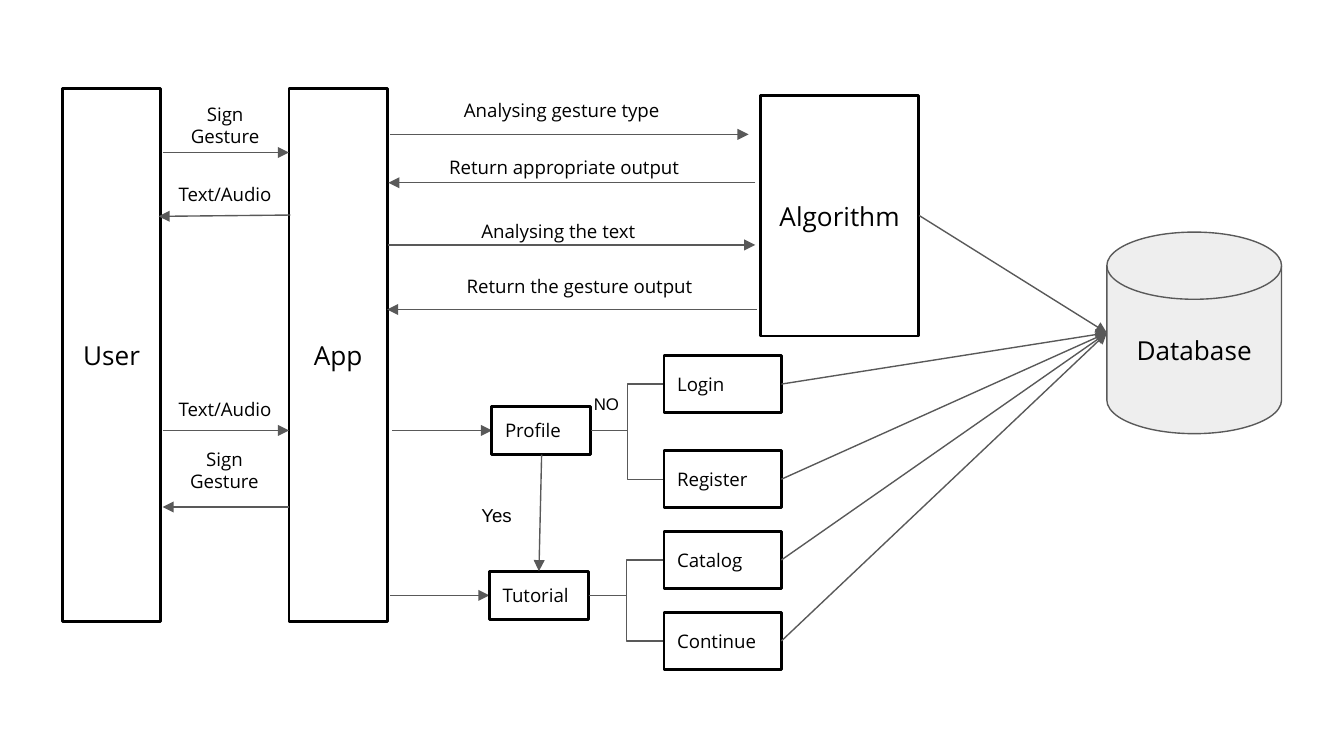
from lxml import etree
from pptx import Presentation
from pptx.dml.color import RGBColor
from pptx.enum.shapes import MSO_CONNECTOR, MSO_SHAPE
from pptx.enum.text import MSO_ANCHOR, PP_ALIGN
from pptx.oxml.ns import qn
from pptx.util import Inches, Pt

RECT, DISK = MSO_SHAPE.RECTANGLE, MSO_SHAPE.FLOWCHART_MAGNETIC_DISK
STRAIGHT, ELBOW = MSO_CONNECTOR.STRAIGHT, MSO_CONNECTOR.ELBOW
LEFT, CENTER = PP_ALIGN.LEFT, PP_ALIGN.CENTER
TOP, MIDDLE = MSO_ANCHOR.TOP, MSO_ANCHOR.MIDDLE

WIDE = Inches(10)
HIGH = WIDE * 9 // 16
CELL = WIDE / 100  # square grid, 100 columns wide
BLACK, GREY, PALE = "000000", "595959", "EEEEEE"
SANS, ARIAL = "Open Sans", "Arial"


def grid(*cells):
    return [round(n * CELL) for n in cells]


def color(code):
    return RGBColor.from_string(code)


def write(shape, text, size, align, anchor, font=SANS):
    frame = shape.text_frame
    frame.word_wrap = True
    frame.vertical_anchor = anchor
    frame.margin_left = frame.margin_right = Inches(0.1)
    frame.margin_top = frame.margin_bottom = Inches(0.1)
    para = frame.paragraphs[0]
    para.text = text
    para.alignment = align
    para.font.name = font
    para.font.size = Pt(size)
    para.font.color.rgb = color(BLACK)


def box(slide, text, area, size=10, align=LEFT, kind=RECT,
        fill=None, edge=BLACK, weight=1.5):
    shape = slide.shapes.add_shape(kind, *grid(*area))
    shape.shadow.inherit = False
    if fill:
        shape.fill.solid()
        shape.fill.fore_color.rgb = color(fill)
    else:
        shape.fill.background()
    shape.line.color.rgb = color(edge)
    shape.line.width = Pt(weight)
    write(shape, text, size, align, MIDDLE)


def label(slide, text, area, align=LEFT, size=10, font=SANS):
    shape = slide.shapes.add_textbox(*grid(*area))
    write(shape, text, size, align, TOP, font)


def link(slide, start, end, kind=STRAIGHT):
    """Join two grid points; straight links end in an arrowhead."""
    line = slide.shapes.add_connector(kind, *grid(*start, *end))
    line.line.color.rgb = color(GREY)
    line.line.width = Pt(0.75)
    props = line._element.spPr
    if kind == STRAIGHT:
        etree.SubElement(props.find(qn("a:ln")), qn("a:tailEnd"), type="triangle")
    etree.SubElement(props, qn("a:effectLst"))


def actors(slide):
    for text, left in (("User", 4.65), ("App", 21.5)):
        box(slide, text, (left, 6.6, 7.32, 39.65), 14, CENTER)
    box(slide, "Algorithm", (56.6, 7.1, 11.75, 17.9), 14, CENTER)


def talk(slide):
    """Messages between user, app and algorithm."""
    for start, end in (
        ((12.1, 11.35), (21.5, 11.35)),
        ((21.6, 16), (11.8, 16.1)),
        ((12.1, 32.03), (21.5, 32.03)),
        ((21.5, 37.73), (12.1, 37.73)),
        ((29, 10), (55.7, 10)),
        ((56.2, 13.6), (28.9, 13.6)),
        ((28.9, 18.23), (56.2, 18.23)),
        ((56.3, 23.03), (28.8, 23.03)),
    ):
        link(slide, start, end)
    for text, left, top, high in (
        ("Sign Gesture", 11.75, 6.63, 5.3),
        ("Text/Audio", 11.75, 12.74, 3.6),
        ("Text/Audio", 11.75, 28.74, 3.6),
        ("Sign Gesture", 11.7, 32.3, 5.3),
    ):
        label(slide, text, (left, top, 10, high), CENTER)
    for text, area in (
        ("Analysing gesture type", (33.54, 6.54, 18.1, 3.6)),
        ("Return appropriate output", (32.44, 10.74, 20.3, 2.9)),
        ("Analysing the text", (34.84, 15.54, 15.5, 2.9)),
        ("Return the gesture output", (33.74, 19.64, 20.1, 3.6)),
    ):
        label(slide, text, area)


def pages(slide):
    """App pages, each branching to two screens that use the database."""
    hub = (82.36, 24.77)
    link(slide, (68.4, 16.04), hub)
    for text, left, mid, screens in (
        ("Profile", 36.6, 32.03, (("Login", 28.58), ("Register", 35.66))),
        ("Tutorial", 36.42, 44.3, (("Catalog", 41.67), ("Continue", 47.7))),
    ):
        link(slide, (left - 7.4, mid), (left, mid))
        box(slide, text, (left, mid - 1.8, 7.37, 3.6))
        for name, row in screens:
            link(slide, (left + 7.37, mid), (49.4, row), ELBOW)
            box(slide, name, (49.4, row - 2.12, 8.74, 4.24))
            link(slide, (58.14, row), hub)
    link(slide, (40.3, 33.83), (40.1, 42.5))
    label(slide, "Yes", (34.83, 36.64, 4.9, 3.8), font=ARIAL)
    label(slide, "NO", (43.2, 28.54, 4.9, 2.9), size=9, font=ARIAL)


def main():
    deck = Presentation()
    deck.slide_width, deck.slide_height = WIDE, HIGH
    slide = deck.slides.add_slide(deck.slide_layouts[6])
    box(slide, "Database", (82.36, 17.27, 13, 15), 14, CENTER, DISK, PALE, GREY, 0.75)
    actors(slide)
    talk(slide)
    pages(slide)
    deck.save("out.pptx")


if __name__ == "__main__":
    main()
